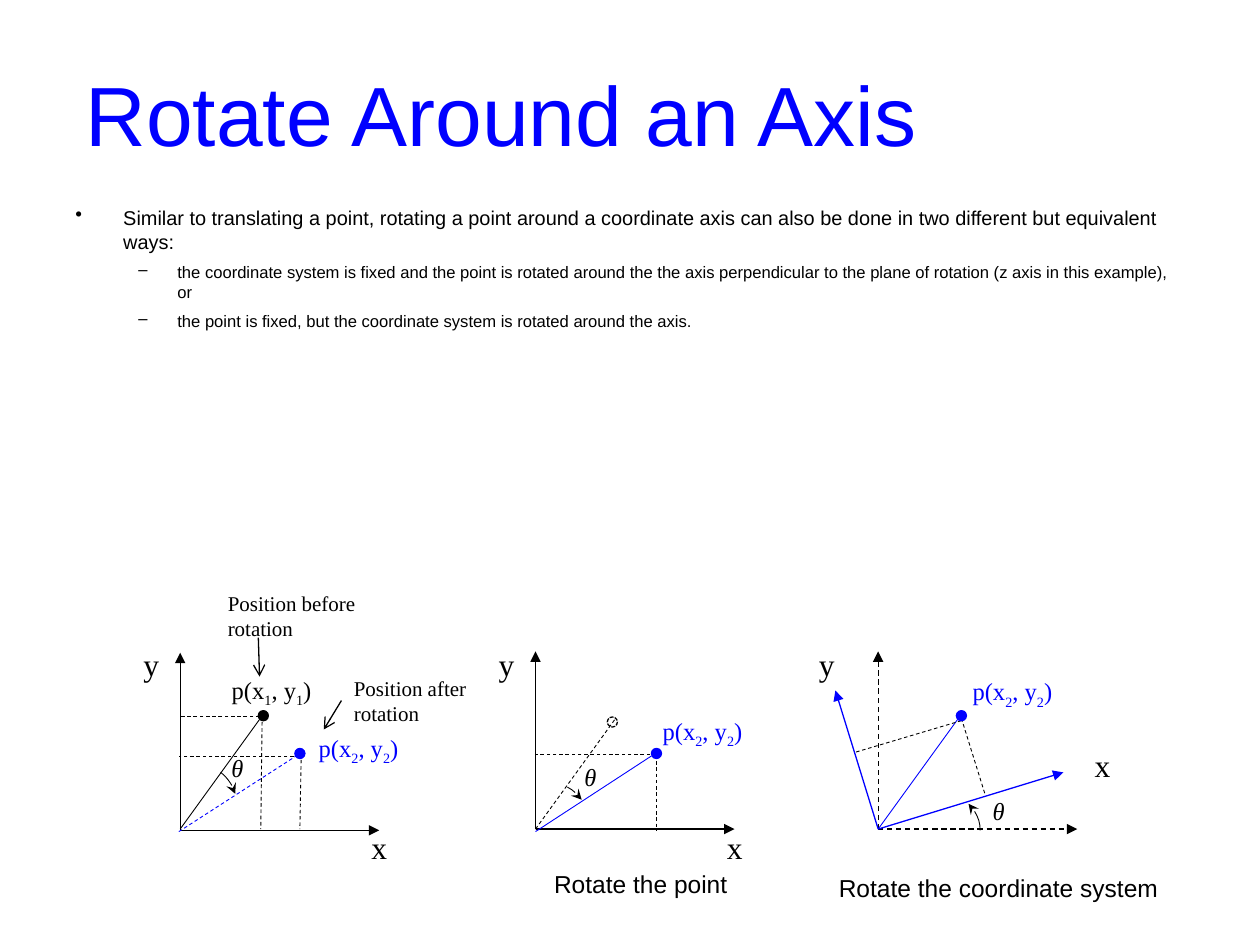
from dataclasses import dataclass
from lxml import etree
from pptx import Presentation
from pptx.dml.color import RGBColor
from pptx.enum.dml import MSO_LINE
from pptx.enum.shapes import MSO_CONNECTOR, MSO_SHAPE
from pptx.enum.text import MSO_ANCHOR, PP_ALIGN
from pptx.oxml.ns import qn
from pptx.util import Inches, Pt

STRAIGHT = MSO_CONNECTOR.STRAIGHT
ELLIPSE, ARC = MSO_SHAPE.OVAL, MSO_SHAPE.ARC
DASH, SHORT_DASH = MSO_LINE.DASH, MSO_LINE.SQUARE_DOT
LEFT, CENTER = PP_ALIGN.LEFT, PP_ALIGN.CENTER
TOP, MIDDLE = MSO_ANCHOR.TOP, MSO_ANCHOR.MIDDLE

SLIDE_WIDTH, SLIDE_HEIGHT = Inches(10), Inches(7.5)
COLUMNS, ROWS = 1000, 750
DOT_SIZE = 8
COLORS = {"black": "000000", "blue": "0000FF"}
SANS, SERIF = "Arial", "Times New Roman"
FRAME_FORMAT = {
    "word_wrap": True,
    "margin_left": Inches(0.1),
    "margin_right": Inches(0.1),
    "margin_top": Inches(0.05),
    "margin_bottom": Inches(0.05),
}


@dataclass(frozen=True)
class TextStyle:
    width: int
    height: int
    size: float
    font: str = SERIF
    align: PP_ALIGN = LEFT
    anchor: MSO_ANCHOR = TOP
    italic: bool = False


@dataclass(frozen=True)
class Stroke:
    color: str = "black"
    width: float = 0.5
    dash: MSO_LINE | None = None
    head: str | None = None
    tail: str | None = None


@dataclass(frozen=True)
class Label:
    column: int
    row: int
    text: str
    style: TextStyle
    color: str = "black"


@dataclass(frozen=True)
class Line:
    start: tuple[int, int]
    end: tuple[int, int]
    stroke: Stroke


@dataclass(frozen=True)
class Dot:
    column: int
    row: int
    fill: str | None
    stroke: Stroke


@dataclass(frozen=True)
class Angle:
    column: int
    row: int
    radii: tuple[int, int]
    degrees: tuple[float, float]
    stroke: Stroke


@dataclass(frozen=True)
class Panel:
    origin: tuple[int, int]
    axis_stroke: Stroke
    lines: list[Line]
    dots: list[Dot]
    angle: Angle
    labels: list[Label]


@dataclass(frozen=True)
class Bullet:
    text: str
    level: int
    size: float
    symbol: str
    margin: float
    hanging: float
    space: float


TITLE = TextStyle(879, 125, 48, SANS, anchor=MIDDLE)
NOTE_AFTER, NOTE_BEFORE = TextStyle(125, 50, 12), TextStyle(153, 50, 12)
THETA = TextStyle(55, 34, 14, align=CENTER, italic=True)
AXIS_NAME = TextStyle(33, 40, 18)
POINT_NAME = TextStyle(101, 37, 14, align=CENTER)
CAPTION = TextStyle(279, 34, 14, SANS, CENTER)

THIN, THIN_BLUE = Stroke(), Stroke("blue")
GUIDE, GUIDE_BLUE = Stroke(dash=DASH), Stroke("blue", dash=DASH)
AXIS = Stroke(width=0.75, tail="triangle")
AXIS_DASHED = Stroke(width=0.75, dash=DASH, tail="triangle")
AXIS_BLUE = Stroke("blue", 0.75, tail="triangle")
POINTER = Stroke(width=0.75, tail="arrow")
RIM, RIM_BLUE = Stroke(width=0.75), Stroke("blue", 0.75)
RIM_DASHED = Stroke(width=0.75, dash=SHORT_DASH)
CLOCKWISE, COUNTERCLOCKWISE = Stroke(tail="stealth"), Stroke(head="stealth")

BULLETS = [
    Bullet("Similar to translating a point, rotating a point around a coordinate axis can also be "
           "done in two different but equivalent ways:", 0, 11.4, "•", 0.38, 0.38, 6),
    Bullet("the coordinate system is fixed and the point is rotated around the the axis perpendicular "
           "to the plane of rotation (z axis in this example), or", 1, 9.5, "–", 0.81, 0.31, 5),
    Bullet("the point is fixed, but the coordinate system is rotated around the axis.",
           1, 9.5, "–", 0.81, 0.31, 5),
]

PANELS = [
    Panel((143, 659), AXIS,
          [Line((62, -153), (63, -122), POINTER), Line((128, -103), (114, -80), POINTER),
           Line((0, -1), (63, -88), THIN), Line((-1, 1), (92, -59), GUIDE_BLUE),
           Line((96, -56), (95, -1), GUIDE), Line((95, -59), (-1, -59), GUIDE),
           Line((65, -86), (64, -1), GUIDE), Line((63, -90), (0, -90), GUIDE)],
          [Dot(66, -91, "black", RIM), Dot(95, -61, "blue", RIM_BLUE)],
          Angle(9, -20, (36, 34), (311.5, 345.5), CLOCKWISE),
          [Label(128, -128, "Position after rotation", NOTE_AFTER),
           Label(28, -195, "Position before rotation", NOTE_BEFORE),
           Label(18, -66, "θ", THETA), Label(142, -7, "x", AXIS_NAME), Label(-39, -152, "y", AXIS_NAME),
           Label(22, -128, "p(x_1, y_1)", POINT_NAME), Label(91, -82, "p(x_2, y_2)", POINT_NAME, "blue")]),
    Panel((425, 658), AXIS,
          [Line((0, 0), (63, -87), GUIDE), Line((0, 2), (92, -58), THIN_BLUE),
           Line((96, -54), (96, 1), GUIDE), Line((96, -59), (0, -59), GUIDE)],
          [Dot(96, -60, "blue", RIM_BLUE), Dot(61, -85, None, RIM_DASHED)],
          Angle(7, -4, (36, 34), (302, 327), CLOCKWISE),
          [Label(16, -58, "θ", THETA), Label(142, -6, "x", AXIS_NAME), Label(-39, -151, "y", AXIS_NAME),
           Label(82, -95, "p(x_2, y_2)", POINT_NAME, "blue"), Label(-56, 27, "Rotate the point", CAPTION)]),
    Panel((697, 658), AXIS_DASHED,
          [Line((0, 0), (63, -87), THIN_BLUE), Line((0, 0), (147, -45), AXIS_BLUE),
           Line((0, 0), (-34, -110), AXIS_BLUE), Line((66, -88), (85, -27), GUIDE),
           Line((66, -86), (-18, -61), GUIDE)],
          [Dot(66, -90, "blue", RIM_BLUE)],
          Angle(38, 1, (43, 34), (328, 0), COUNTERCLOCKWISE),
          [Label(68, -31, "θ", THETA), Label(162, -71, "x", AXIS_NAME), Label(-57, -151, "y", AXIS_NAME),
           Label(56, -126, "p(x_2, y_2)", POINT_NAME, "blue"),
           Label(-44, 30, "Rotate the coordinate system", CAPTION)]),
]


def across(columns: float) -> int:
    return round(SLIDE_WIDTH * columns / COLUMNS)


def down(rows: float) -> int:
    return round(SLIDE_HEIGHT * rows / ROWS)


def box(left: float, top: float, width: float, height: float) -> tuple[int, int, int, int]:
    return across(left), down(top), across(width), down(height)


def apply(target, values: dict) -> None:
    for name, value in values.items():
        setattr(target, name, value)


def apply_stroke(shape, stroke: Stroke) -> None:
    shape.line.color.rgb = RGBColor.from_string(COLORS[stroke.color])
    apply(shape.line, {"width": Pt(stroke.width), "dash_style": stroke.dash})
    outline = shape._element.spPr.find(qn("a:ln"))
    for tag, kind in (("a:headEnd", stroke.head), ("a:tailEnd", stroke.tail)):
        if kind:
            etree.SubElement(outline, qn(tag), type=kind)


def add_run(paragraph, text: str, size: float, font: str, color: str, italic: bool = False):
    run = paragraph.add_run()
    run.text = text
    apply(run.font, {"size": Pt(size), "name": font, "italic": italic})
    run.font.color.rgb = RGBColor.from_string(COLORS[color])
    return run


def add_frame(slide, left: int, top: int, width: int, height: int):
    frame = slide.shapes.add_textbox(*box(left, top, width, height)).text_frame
    apply(frame, FRAME_FORMAT)
    return frame


def draw_label(slide, label: Label, origin: tuple[int, int] = (0, 0)) -> None:
    style = label.style
    frame = add_frame(slide, origin[0] + label.column, origin[1] + label.row, style.width, style.height)
    frame.vertical_anchor = style.anchor
    paragraph = frame.paragraphs[0]
    paragraph.alignment = style.align
    first, *rest = label.text.split("_")
    look = (style.size, style.font, label.color, style.italic)
    add_run(paragraph, first, *look)
    for part in rest:
        subscript = add_run(paragraph, part[0], *look)
        subscript._r.get_or_add_rPr().set("baseline", "-25000")
        add_run(paragraph, part[1:], *look)


def draw_bullets(slide, bullets: list[Bullet]) -> None:
    frame = add_frame(slide, 50, 158, 900, 117)
    for index, bullet in enumerate(bullets):
        paragraph = frame.add_paragraph() if index else frame.paragraphs[0]
        apply(paragraph, {"level": bullet.level, "space_before": Pt(bullet.space)})
        properties = paragraph._p.get_or_add_pPr()
        properties.set("marL", str(Inches(bullet.margin)))
        properties.set("indent", str(-Inches(bullet.hanging)))
        etree.SubElement(properties, qn("a:buChar"), char=bullet.symbol)
        add_run(paragraph, bullet.text, bullet.size, SANS, "black")


def draw_line(slide, line: Line, origin: tuple[int, int]) -> None:
    ends = [position for column, row in (line.start, line.end)
            for position in (across(origin[0] + column), down(origin[1] + row))]
    connector = slide.shapes.add_connector(STRAIGHT, *ends)
    apply_stroke(connector, line.stroke)
    etree.SubElement(connector._element.spPr, qn("a:effectLst"))


def draw_round(slide, kind: MSO_SHAPE, center: tuple[int, int], radii: tuple[float, float],
               fill: str | None, stroke: Stroke):
    (column, row), (horizontal, vertical) = center, radii
    shape = slide.shapes.add_shape(
        kind, *box(column - horizontal, row - vertical, 2 * horizontal, 2 * vertical))
    shape.shadow.inherit = False
    if fill:
        shape.fill.solid()
        shape.fill.fore_color.rgb = RGBColor.from_string(COLORS[fill])
    else:
        shape.fill.background()
    apply_stroke(shape, stroke)
    return shape


def draw_panel(slide, panel: Panel) -> None:
    left, top = panel.origin
    axes = [Line((0, 0), end, panel.axis_stroke) for end in ((158, 0), (0, -141))]
    for line in axes + panel.lines:
        draw_line(slide, line, panel.origin)
    for dot in panel.dots:
        draw_round(slide, ELLIPSE, (left + dot.column, top + dot.row),
                   (DOT_SIZE / 2, DOT_SIZE / 2), dot.fill, dot.stroke)
    angle = panel.angle
    arc = draw_round(slide, ARC, (left + angle.column, top + angle.row), angle.radii, None, angle.stroke)
    for index, degrees in enumerate(angle.degrees):
        arc.adjustments[index] = degrees * 0.6
    for label in panel.labels:
        draw_label(slide, label, panel.origin)


def main() -> None:
    presentation = Presentation()
    apply(presentation, {"slide_width": SLIDE_WIDTH, "slide_height": SLIDE_HEIGHT})
    slide = presentation.slides.add_slide(presentation.slide_layouts[6])
    draw_label(slide, Label(58, 27, "Rotate Around an Axis", TITLE, "blue"))
    draw_bullets(slide, BULLETS)
    for panel in PANELS:
        draw_panel(slide, panel)
    presentation.save("out.pptx")


if __name__ == "__main__":
    main()
